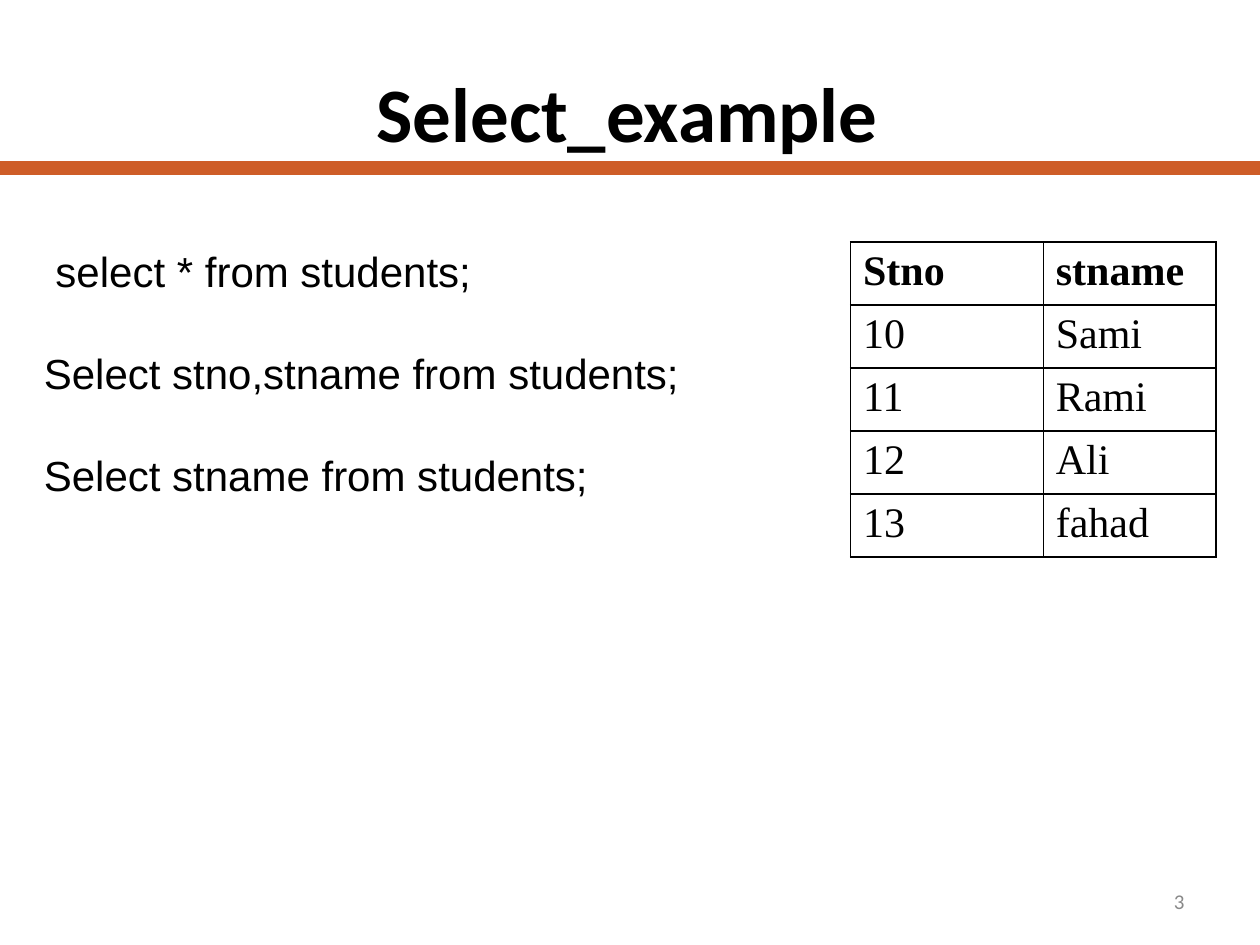
import pptx
import pptx.dml.color
import pptx.enum.shapes
import pptx.enum.text
import pptx.oxml
import pptx.oxml.ns
import pptx.util
from pptx.util import Inches

ALIGN = pptx.enum.text.PP_ALIGN
ANCHOR = pptx.enum.text.MSO_ANCHOR


def color(value):
    return pptx.dml.color.RGBColor.from_string(value)


class SlideBuilder:
    ink = "000000"
    accent = "CE5D28"
    muted = "898989"

    def __init__(self, slide):
        self.slide = slide

    def format(self, paragraph, font, layout):
        for target, values in ((paragraph.font, font), (paragraph, layout)):
            for name, value in values.items():
                if name == "color":
                    target.color.rgb = color(value)
                else:
                    setattr(target, name, value)

    def rule(self, top, width):
        connector = self.slide.shapes.add_connector(
            pptx.enum.shapes.MSO_CONNECTOR.STRAIGHT,
            Inches(0), Inches(top), Inches(10), Inches(top))
        connector.line.color.rgb = color(self.accent)
        connector.line.width = pptx.util.Pt(width)
        connector._element.spPr.append(pptx.oxml.parse_xml(
            f'<a:effectLst {pptx.oxml.ns.nsdecls("a")}/>'))

    def text(self, box, lines, font, anchor=ANCHOR.TOP, align=ALIGN.LEFT, gap=0):
        shape = self.slide.shapes.add_textbox(*map(Inches, box))
        frame = shape.text_frame
        frame.word_wrap = True
        frame.vertical_anchor = anchor
        frame.text = "\n".join(lines)
        for index, paragraph in enumerate(frame.paragraphs):
            layout = {"alignment": align}
            if index and gap:
                layout["space_before"] = pptx.util.Pt(gap)
            self.format(paragraph, font, layout)

    def border(self, cell, width):
        properties = cell._tc.get_or_add_tcPr()
        for index, side in enumerate("LRTB"):
            properties.insert(index, pptx.oxml.parse_xml(
                f'<a:ln{side} {pptx.oxml.ns.nsdecls("a")} w="{pptx.util.Pt(width)}">'
                f'<a:solidFill><a:srgbClr val="{self.ink}"/></a:solidFill>'
                f'</a:ln{side}>'))

    def table(self, left, top, widths, row_height, rows, font):
        table = self.slide.shapes.add_table(
            len(rows), len(widths), Inches(left), Inches(top),
            Inches(sum(widths)), Inches(row_height * len(rows))).table
        table.horz_banding = False
        for column, width in zip(table.columns, widths):
            column.width = Inches(width)
        for row_index, values in enumerate(rows):
            for column_index, value in enumerate(values):
                cell = table.cell(row_index, column_index)
                cell.text = value
                cell.fill.background()
                self.border(cell, 1)
                self.format(cell.text_frame.paragraphs[0],
                            {**font, "bold": row_index == 0}, {})


def main():
    presentation = pptx.Presentation()
    presentation.slide_width = Inches(10)
    presentation.slide_height = Inches(7.5)
    builder = SlideBuilder(presentation.slides.add_slide(presentation.slide_layouts[6]))

    builder.rule(1.33, 8)
    builder.text(
        (0.48, 0.53, 9, 0.72), ["Select_example"],
        {"name": "Calibri", "size": pptx.util.Pt(44), "bold": True, "color": builder.ink},
        ANCHOR.MIDDLE, ALIGN.CENTER)
    builder.table(
        6.75, 1.92, (1.53, 1.37), 0.41,
        [("Stno", "stname"), ("10", "Sami"), ("11", "Rami"), ("12", "Ali"), ("13", "fahad")],
        {"name": "Times New Roman", "size": pptx.util.Pt(24), "color": builder.ink})
    builder.text(
        (0.25, 1.9, 6, 2.12),
        [" select * from students;",
         "Select stno,stname from students;",
         "Select stname from students;"],
        {"name": "Arial", "size": pptx.util.Pt(24), "color": builder.ink}, gap=29.5)
    builder.text(
        (7.17, 6.95, 2.33, 0.4), ["3"],
        {"name": "Calibri", "size": pptx.util.Pt(12), "color": builder.muted},
        ANCHOR.MIDDLE, ALIGN.RIGHT)

    presentation.save("out.pptx")


if __name__ == "__main__":
    main()
